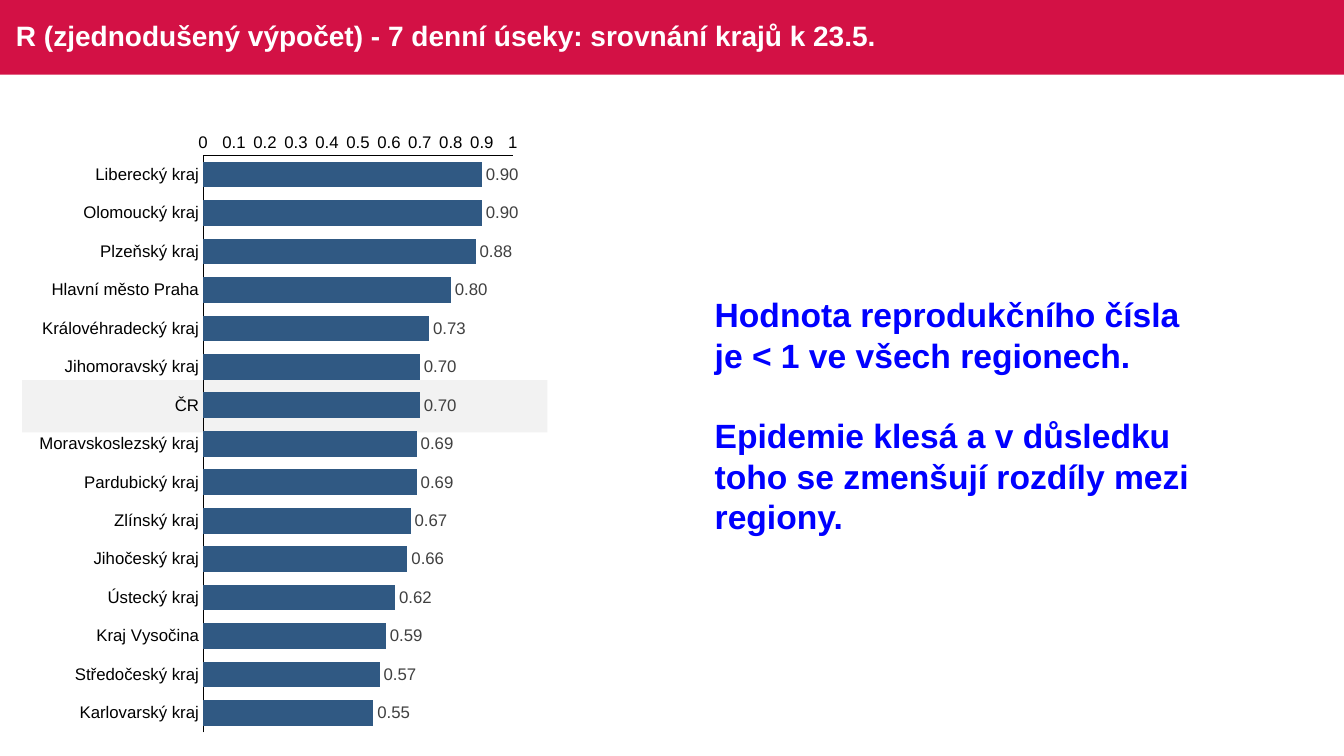
import pptx
import pptx.chart.data
import pptx.dml.color
import pptx.enum.chart
import pptx.enum.shapes
import pptx.enum.text
import pptx.oxml
import pptx.oxml.ns
import pptx.util
from dataclasses import dataclass

Inches = pptx.util.Inches
Pt = pptx.util.Pt
RGB = pptx.dml.color.RGBColor.from_string


@dataclass(frozen=True)
class Theme:
    font: str = "Arial"
    band: str = "D31145"
    highlight: str = "F2F2F2"
    bar: str = "305983"
    title: str = "FFFFFF"
    axis: str = "000000"
    label: str = "404040"
    message: str = "0000FF"
    title_size: int = 20
    message_size: int = 24
    chart_size: int = 12


theme = Theme()


def style_font(font, *, size, color, bold=False):
    font.name = theme.font
    font.size = Pt(size)
    font.bold = bold
    font.color.rgb = RGB(color)


def add_text(s, box, paragraphs, *, size, color, anchor, line_spacing=None, gap=0):
    """Add a bold, wrapped text box; gap is the space between paragraphs in points."""
    tf = s.shapes.add_textbox(*map(Inches, box)).text_frame
    tf.word_wrap = True
    tf.vertical_anchor = anchor
    for i, text in enumerate(paragraphs):
        p = tf.paragraphs[0] if i == 0 else tf.add_paragraph()
        if line_spacing:
            p.line_spacing = line_spacing
        if i:
            p.space_before = Pt(gap)
        r = p.add_run()
        r.text = text
        style_font(r.font, size=size, color=color, bold=True)


prs = pptx.Presentation()
prs.slide_width = Inches(13.33)
prs.slide_height = Inches(7.5)
s = prs.slides.add_slide(prs.slide_layouts[6])

# Title band and the stripe behind the national value
for box, color in [
    ((0, 0, 13.33, 0.74), theme.band),
    ((0.22, 3.77, 5.21, 0.52), theme.highlight),
]:
    sp = s.shapes.add_shape(pptx.enum.shapes.MSO_SHAPE.RECTANGLE, *map(Inches, box))
    sp.shadow.inherit = False
    sp.fill.solid()
    sp.fill.fore_color.rgb = RGB(color)
    sp.line.fill.background()

add_text(
    s, (0.06, 0, 12.01, 0.74),
    ["R (zjednodušený výpočet) - 7 denní úseky: srovnání krajů k 23.5."],
    size=theme.title_size, color=theme.title,
    anchor=pptx.enum.text.MSO_ANCHOR.MIDDLE, line_spacing=0.9,
)

# Reproduction number by region
regions = {
    "Liberecký kraj": 0.90,
    "Olomoucký kraj": 0.90,
    "Plzeňský kraj": 0.88,
    "Hlavní město Praha": 0.80,
    "Královéhradecký kraj": 0.73,
    "Jihomoravský kraj": 0.70,
    "ČR": 0.70,
    "Moravskoslezský kraj": 0.69,
    "Pardubický kraj": 0.69,
    "Zlínský kraj": 0.67,
    "Jihočeský kraj": 0.66,
    "Ústecký kraj": 0.62,
    "Kraj Vysočina": 0.59,
    "Středočeský kraj": 0.57,
    "Karlovarský kraj": 0.55,
}
data = pptx.chart.data.CategoryChartData()
data.categories = list(regions)
data.add_series("Series 1", list(regions.values()))
chart = s.shapes.add_chart(
    pptx.enum.chart.XL_CHART_TYPE.BAR_CLUSTERED,
    *map(Inches, (0.3, 1.2, 4.94, 6.19)), data,
).chart
chart.has_legend = False
chart.has_title = False
style_font(chart.font, size=theme.chart_size, color=theme.axis)

for axis in (chart.category_axis, chart.value_axis):
    axis.has_major_gridlines = False
    axis.major_tick_mark = axis.minor_tick_mark = pptx.enum.chart.XL_TICK_MARK.NONE
    axis.format.line.color.rgb = RGB(theme.axis)
    axis.format.line.width = Pt(0.75)
    style_font(axis.tick_labels.font, size=theme.chart_size, color=theme.axis)
chart.category_axis.reverse_order = True
chart.value_axis.minimum_scale = 0
chart.value_axis.maximum_scale = 1
chart.value_axis.major_unit = 0.1
chart.value_axis.tick_labels.number_format = "General"
chart.value_axis.tick_labels.number_format_is_linked = False

plot = chart.plots[0]
plot.gap_width = 50
plot.vary_by_categories = False
fill = plot.series[0].format.fill
fill.solid()
fill.fore_color.rgb = RGB(theme.bar)
labels = plot.series[0].data_labels
labels.show_value = True
labels.number_format = "#,##0.00"
labels.number_format_is_linked = False
labels.position = pptx.enum.chart.XL_LABEL_POSITION.OUTSIDE_END
style_font(labels.font, size=theme.chart_size, color=theme.label)

# Fixed inner plot area, as fractions of the chart frame
qn = pptx.oxml.ns.qn
plot_area = chart.element.find(".//" + qn("c:plotArea"))
for old in plot_area.findall(qn("c:layout")):
    plot_area.remove(old)
settings = [("layoutTarget", "inner"), ("xMode", "edge"), ("yMode", "edge"),
            ("x", 0.347), ("y", 0.055), ("w", 0.622), ("h", 0.925)]
layout = pptx.oxml.parse_xml(
    f'<c:layout {pptx.oxml.ns.nsdecls("c")}><c:manualLayout>'
    + "".join(f'<c:{name} val="{value}"/>' for name, value in settings)
    + "</c:manualLayout></c:layout>"
)
plot_area.insert(0, layout)

add_text(
    s, (6.99, 2.87, 5.09, 2.52),
    ["Hodnota reprodukčního čísla je < 1 ve všech regionech.",
     "Epidemie klesá a v důsledku toho se zmenšují rozdíly mezi regiony."],
    size=theme.message_size, color=theme.message,
    anchor=pptx.enum.text.MSO_ANCHOR.TOP, gap=28.8,
)

prs.save("out.pptx")
